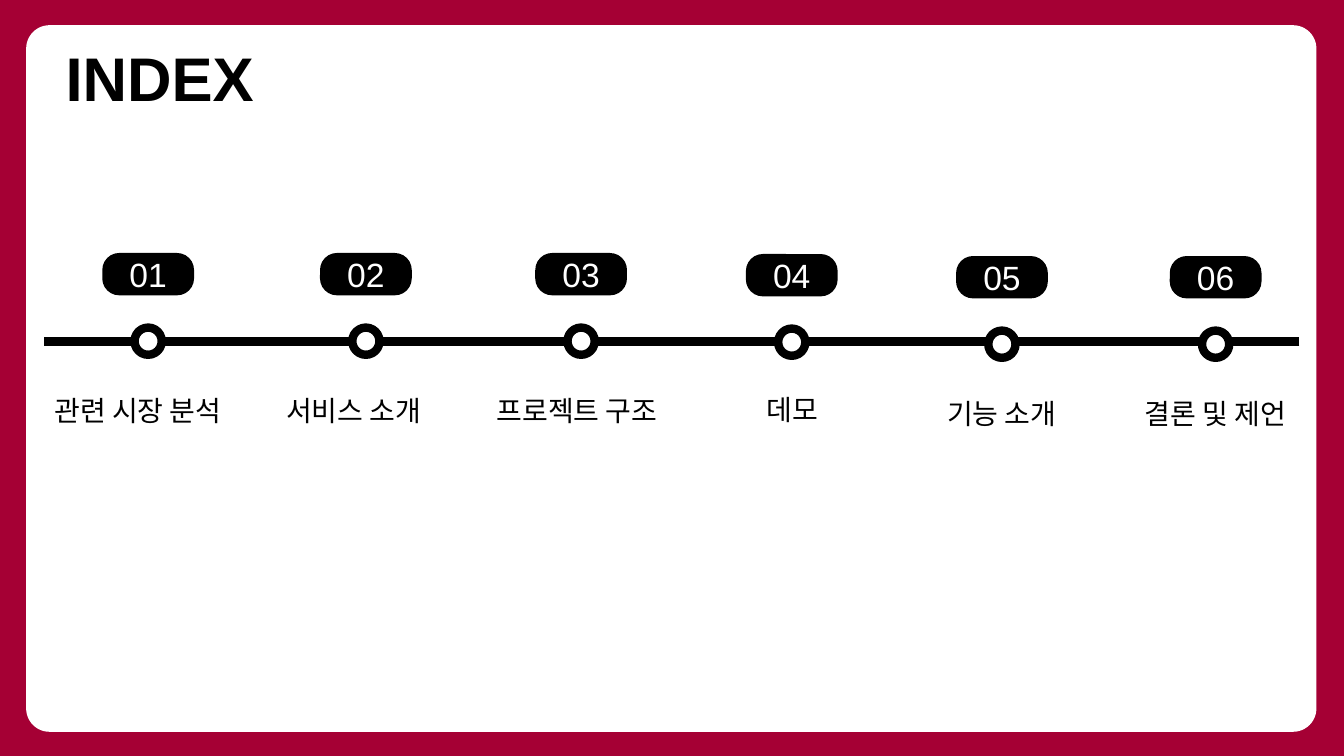
"""Build the INDEX slide: a six-step timeline on a framed page."""
from dataclasses import dataclass

from lxml.etree import SubElement
from pptx import Presentation
from pptx.dml.color import RGBColor
from pptx.enum.shapes import MSO_CONNECTOR, MSO_SHAPE
from pptx.enum.text import MSO_ANCHOR, MSO_AUTO_SIZE, PP_ALIGN
from pptx.oxml.ns import qn
from pptx.shapes.autoshape import Shape
from pptx.slide import Slide
from pptx.util import Inches, Pt

CRIMSON = RGBColor(0xA5, 0x00, 0x34)
BLACK = RGBColor(0x00, 0x00, 0x00)
WHITE = RGBColor(0xFF, 0xFF, 0xFF)

SLIDE_WIDTH, SLIDE_HEIGHT = Inches(13.33), Inches(7.5)
COLUMN, ROW = SLIDE_WIDTH / 160, SLIDE_HEIGHT / 90

LINE_WEIGHT = Pt(6)
LATIN_FONT, KOREAN_FONT = "Arial", "Noto Sans CJK KR"
TITLE_FORMAT = {"name": LATIN_FONT, "size": Pt(44), "bold": True}
NUMBER_FORMAT = {"name": LATIN_FONT, "size": Pt(24)}
LABEL_FORMAT = {"name": KOREAN_FONT, "size": Pt(20)}


@dataclass(frozen=True)
class Area:
    """A block of the grid, in columns and rows."""

    column: float
    row: float
    columns: float
    rows: float

    def lengths(self) -> tuple[int, int, int, int]:
        """Return left, top, width and height in slide units."""
        return (round(self.column * COLUMN), round(self.row * ROW),
                round(self.columns * COLUMN), round(self.rows * ROW))


@dataclass(frozen=True)
class Step:
    """One stop on the timeline; drop lowers its badge and ring."""

    label: str
    centre: float
    drop: float
    label_column: float
    label_row: float
    label_columns: float
    align: PP_ALIGN = PP_ALIGN.CENTER


FRAME = Area(3.12, 3, 153.6, 84.12)
TITLE = Area(6.6, 4.2, 46.2, 10.08)
LINE_START, LINE_END, LINE_ROW = 154.68, 5.28, 40.68
BADGE_ROW, BADGE_COLUMNS, BADGE_ROWS = 30.12, 10.92, 5.04
RING_ROW, RING_SIZE = 39, 3.24
LABEL_ROWS = 5.28

STEPS = (
    Step("관련 시장 분석", 17.64, 0, 5.28, 46.2, 26.88, PP_ALIGN.LEFT),
    Step("서비스 소개", 43.56, 0, 32.88, 46.2, 21.36, PP_ALIGN.LEFT),
    Step("프로젝트 구조", 69.18, 0, 54.84, 46.2, 27.72),
    Step("데모", 94.26, 0.12, 85.44, 46.08, 17.76),
    Step("기능 소개", 119.28, 0.36, 110.4, 46.56, 17.76),
    Step("결론 및 제언", 144.72, 0.36, 133.32, 46.56, 22.68),
)


def write(box: Shape, text: str, style: dict, color: RGBColor,
          align: PP_ALIGN, anchor: MSO_ANCHOR) -> None:
    """Put one formatted line of text in a box."""
    frame = box.text_frame
    frame.word_wrap = True
    frame.vertical_anchor = anchor
    para = frame.paragraphs[0]
    para.alignment = align
    span = para.add_run()
    span.text = text
    for name, value in style.items():
        setattr(span.font, name, value)
    span.font.color.rgb = color
    east_asian = SubElement(span._r.get_or_add_rPr(), qn("a:ea"))
    east_asian.set("typeface", style["name"])


def add_shape(page: Slide, kind: MSO_SHAPE, area: Area, fill: RGBColor) -> Shape:
    """Add a flat shape without an outline."""
    shape = page.shapes.add_shape(kind, *area.lengths())
    shape.shadow.inherit = False
    shape.fill.solid()
    shape.fill.fore_color.rgb = fill
    shape.line.fill.background()
    return shape


def add_frame(page: Slide) -> None:
    """Lay the white rounded panel behind everything else."""
    panel = add_shape(page, MSO_SHAPE.ROUNDED_RECTANGLE, FRAME, WHITE)
    panel.adjustments[0] = 0.033
    page.shapes._spTree.insert(2, panel._element)


def add_title(page: Slide) -> None:
    """Move and fill the title placeholder."""
    title = page.shapes.title
    title.left, title.top, title.width, title.height = TITLE.lengths()
    write(title, "INDEX", TITLE_FORMAT, BLACK, PP_ALIGN.LEFT, MSO_ANCHOR.TOP)
    title.text_frame.auto_size = MSO_AUTO_SIZE.SHAPE_TO_FIT_TEXT


def add_timeline(page: Slide) -> None:
    """Draw the line that carries the steps."""
    height = round(LINE_ROW * ROW)
    line = page.shapes.add_connector(
        MSO_CONNECTOR.STRAIGHT, round(LINE_START * COLUMN), height,
        round(LINE_END * COLUMN), height)
    line.line.color.rgb = BLACK
    line.line.width = LINE_WEIGHT
    SubElement(line._element.spPr, qn("a:effectLst"))


def add_step(page: Slide, number: int, step: Step) -> None:
    """Draw the ring, the numbered badge and the label of a step."""
    ring_area = Area(step.centre - RING_SIZE / 2, RING_ROW + step.drop,
                     RING_SIZE, RING_SIZE)
    ring = add_shape(page, MSO_SHAPE.OVAL, ring_area, WHITE)
    ring.line.color.rgb = BLACK
    ring.line.width = LINE_WEIGHT

    badge_area = Area(step.centre - BADGE_COLUMNS / 2, BADGE_ROW + step.drop,
                      BADGE_COLUMNS, BADGE_ROWS)
    badge = add_shape(page, MSO_SHAPE.ROUNDED_RECTANGLE, badge_area, BLACK)
    badge.adjustments[0] = 0.4
    write(badge, f"{number:02}", NUMBER_FORMAT, WHITE,
          PP_ALIGN.CENTER, MSO_ANCHOR.MIDDLE)

    label_area = Area(step.label_column, step.label_row,
                      step.label_columns, LABEL_ROWS)
    label = page.shapes.add_textbox(*label_area.lengths())
    write(label, step.label, LABEL_FORMAT, BLACK, step.align, MSO_ANCHOR.TOP)
    label.text_frame.auto_size = MSO_AUTO_SIZE.SHAPE_TO_FIT_TEXT


def main() -> None:
    """Build and save the deck."""
    deck = Presentation()
    deck.slide_width, deck.slide_height = SLIDE_WIDTH, SLIDE_HEIGHT
    page = deck.slides.add_slide(deck.slide_layouts.get_by_name("Title Only"))
    page.background.fill.solid()
    page.background.fill.fore_color.rgb = CRIMSON
    add_frame(page)
    add_title(page)
    add_timeline(page)
    for number, step in enumerate(STEPS, start=1):
        add_step(page, number, step)
    deck.save("out.pptx")


if __name__ == "__main__":
    main()
